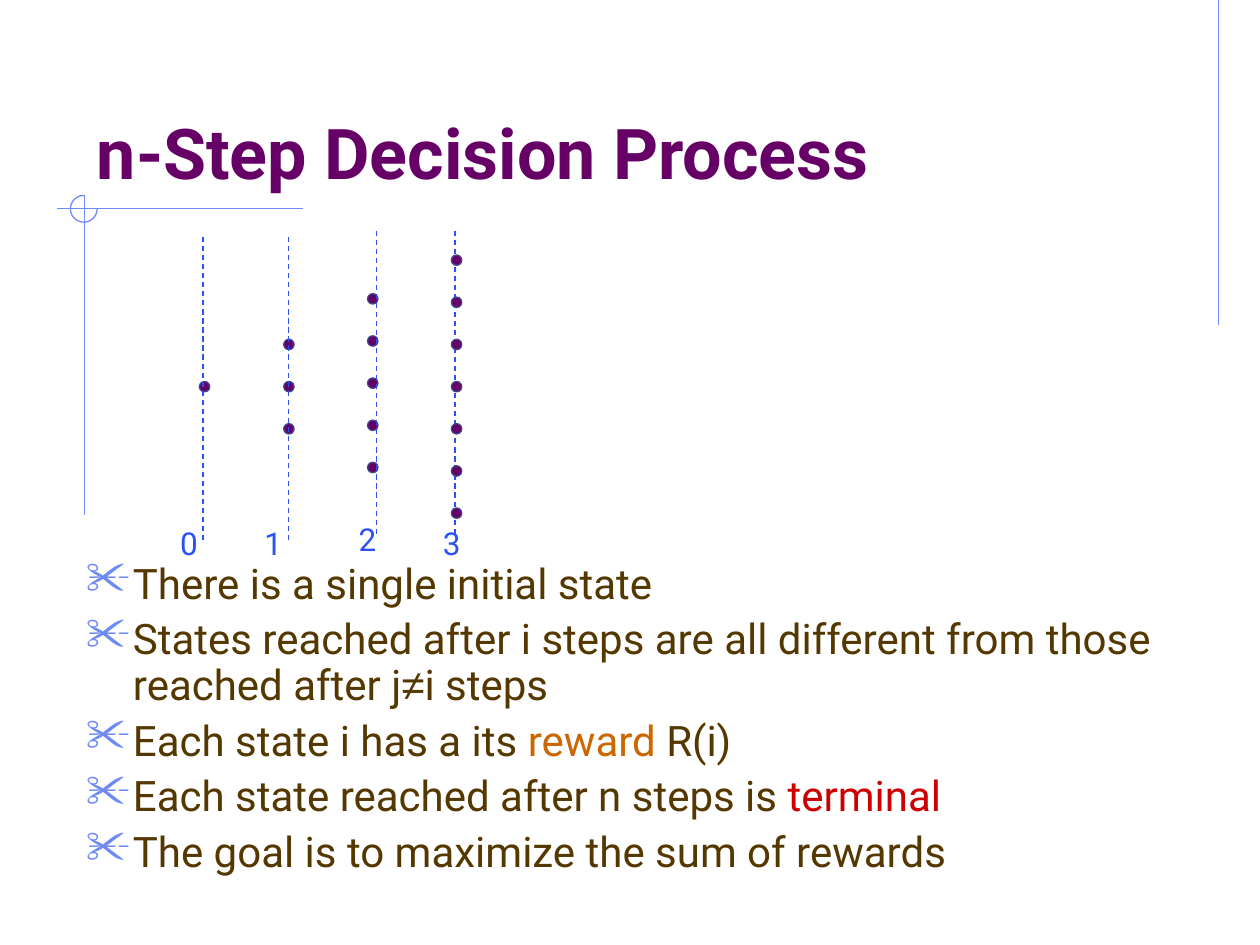
from dataclasses import dataclass

from lxml import etree
from pptx import Presentation
from pptx.dml.color import RGBColor
from pptx.enum import dml, shapes, text
from pptx.oxml.ns import qn
from pptx.util import Cm, Pt


@dataclass(frozen=True)
class Theme:
    font: str = "Roboto"
    symbol_font: str = "Arial"
    purple: str = "660066"
    brown: str = "543800"
    orange: str = "CC6600"
    red: str = "CC0000"
    blue: str = "2B51F3"
    pale_blue: str = "6F89F7"
    dot_edge: str = "40458C"
    title_size: int = 40
    body_size: int = 24
    label_size: int = 18
    line_width: float = 0.75


@dataclass(frozen=True)
class Step:
    """One column of states; positions are in centimetres."""
    label: str
    states: int
    axis_x: float
    axis_top: float
    dots_left: float
    middle_dot_top: float
    label_left: float
    label_top: float
    axis_behind: bool = False


@dataclass(frozen=True)
class Span:
    words: str
    color: str = Theme.brown
    font: str = Theme.font


THEME = Theme()
DOT_SIZE = 0.21
DOT_PITCH = 0.85
AXIS_LENGTH = 6.13

STEPS = [
    Step("0", 1, 4.09, 4.78, 4.02, 7.69, 3.38, 10.44),
    Step("1", 3, 5.82, 4.78, 5.72, 7.69, 5.08, 10.44),
    Step("2", 5, 7.59, 4.65, 7.41, 7.62, 6.98, 10.36),
    Step("3", 7, 9.17, 4.65, 9.1, 7.69, 8.68, 10.44, axis_behind=True),
]

STATEMENTS = [
    [Span("There is a single initial state")],
    [Span("States reached after i steps are all different from those reached after j"),
     Span("≠", font=THEME.symbol_font), Span("i steps")],
    [Span("Each state i has a its "), Span("reward", THEME.orange), Span(" R(i)")],
    [Span("Each state reached after n steps is "), Span("terminal", THEME.red)],
    [Span("The goal is to maximize the sum of rewards")],
]


def style_font(font, size: float, color: str, name: str = THEME.font, bold: bool = False) -> None:
    font.size, font.name, font.bold = Pt(size), name, bold
    font.color.rgb = RGBColor.from_string(color)


def style_line(line, color: str) -> None:
    line.color.rgb = RGBColor.from_string(color)
    line.width = Pt(THEME.line_width)


def draw_line(slide, x1: float, y1: float, x2: float, y2: float, color: str, dashed: bool = False) -> None:
    connector = slide.shapes.add_connector(
        shapes.MSO_CONNECTOR.STRAIGHT, Cm(x1), Cm(y1), Cm(x2), Cm(y2))
    style_line(connector.line, color)
    if dashed:
        connector.line.dash_style = dml.MSO_LINE.DASH
    etree.SubElement(connector._element.spPr, qn("a:effectLst"))


def draw_corner_rules(slide) -> None:
    for ends in [(24.56, 0, 24.56, 6.56), (6.1, 4.2, 1.14, 4.2), (1.7, 3.94, 1.7, 10.39)]:
        draw_line(slide, *ends, THEME.pale_blue)
    arc = slide.shapes.add_shape(shapes.MSO_SHAPE.ARC, Cm(1.42), Cm(3.94), Cm(0.54), Cm(0.54))
    # Angles count in units of 100000/60000 degree: 162 is 270 degrees.
    arc.adjustments[0], arc.adjustments[1] = 0, 162
    arc.shadow.inherit = False
    arc.fill.background()
    style_line(arc.line, THEME.pale_blue)


def draw_title(slide) -> None:
    title = slide.shapes.title
    title.left, title.top, title.width, title.height = Cm(1.7), Cm(0.85), Cm(21.59), Cm(3.17)
    frame = title.text_frame
    frame.text = "n-Step Decision Process"
    frame.vertical_anchor = text.MSO_ANCHOR.BOTTOM
    frame.auto_size = text.MSO_AUTO_SIZE.NONE
    heading = frame.paragraphs[0]
    heading.alignment = text.PP_ALIGN.LEFT
    style_font(heading.runs[0].font, THEME.title_size, THEME.purple, bold=True)


def add_scissors_bullet(paragraph) -> None:
    properties = paragraph._p.get_or_add_pPr()
    indent = Cm(0.95)
    properties.set("marL", str(indent))
    properties.set("indent", str(-indent))
    color = etree.SubElement(properties, qn("a:buClr"))
    etree.SubElement(color, qn("a:srgbClr"), val=THEME.pale_blue)
    etree.SubElement(properties, qn("a:buSzPct"), val="110000")
    etree.SubElement(properties, qn("a:buChar"), char="✂")


def draw_statements(slide) -> None:
    frame = slide.shapes.add_textbox(Cm(1.48), Cm(11.22), Cm(22.22), Cm(6.77)).text_frame
    frame.word_wrap = True
    for index, spans in enumerate(STATEMENTS):
        statement = frame.add_paragraph() if index else frame.paragraphs[0]
        add_scissors_bullet(statement)
        statement.line_spacing = 0.9
        statement.space_before = Pt(6 if index else 0)
        for span in spans:
            run = statement.add_run()
            run.text = span.words
            style_font(run.font, THEME.body_size, span.color, span.font)


def draw_axis(slide, step: Step) -> None:
    draw_line(slide, step.axis_x, step.axis_top, step.axis_x, step.axis_top + AXIS_LENGTH,
              THEME.blue, dashed=True)


def draw_states(slide, step: Step) -> None:
    first_top = step.middle_dot_top - step.states // 2 * DOT_PITCH
    for row in range(step.states):
        state = slide.shapes.add_shape(
            shapes.MSO_SHAPE.OVAL, Cm(step.dots_left), Cm(first_top + row * DOT_PITCH),
            Cm(DOT_SIZE), Cm(DOT_SIZE))
        state.shadow.inherit = False
        state.fill.solid()
        state.fill.fore_color.rgb = RGBColor.from_string(THEME.purple)
        style_line(state.line, THEME.dot_edge)


def draw_step(slide, step: Step) -> None:
    layers = [draw_axis, draw_states] if step.axis_behind else [draw_states, draw_axis]
    for draw_layer in layers:
        draw_layer(slide, step)
    frame = slide.shapes.add_textbox(
        Cm(step.label_left), Cm(step.label_top), Cm(0.86), Cm(1.02)).text_frame
    frame.word_wrap = False
    frame.auto_size = text.MSO_AUTO_SIZE.SHAPE_TO_FIT_TEXT
    frame.text = step.label
    style_font(frame.paragraphs[0].runs[0].font, THEME.label_size, THEME.blue)


def main() -> None:
    deck = Presentation()
    deck.slide_width, deck.slide_height = Cm(25.4), Cm(19.05)
    slide = deck.slides.add_slide(deck.slide_layouts[5])
    draw_corner_rules(slide)
    draw_title(slide)
    draw_statements(slide)
    for step in STEPS:
        draw_step(slide, step)
    deck.save("out.pptx")


if __name__ == "__main__":
    main()
